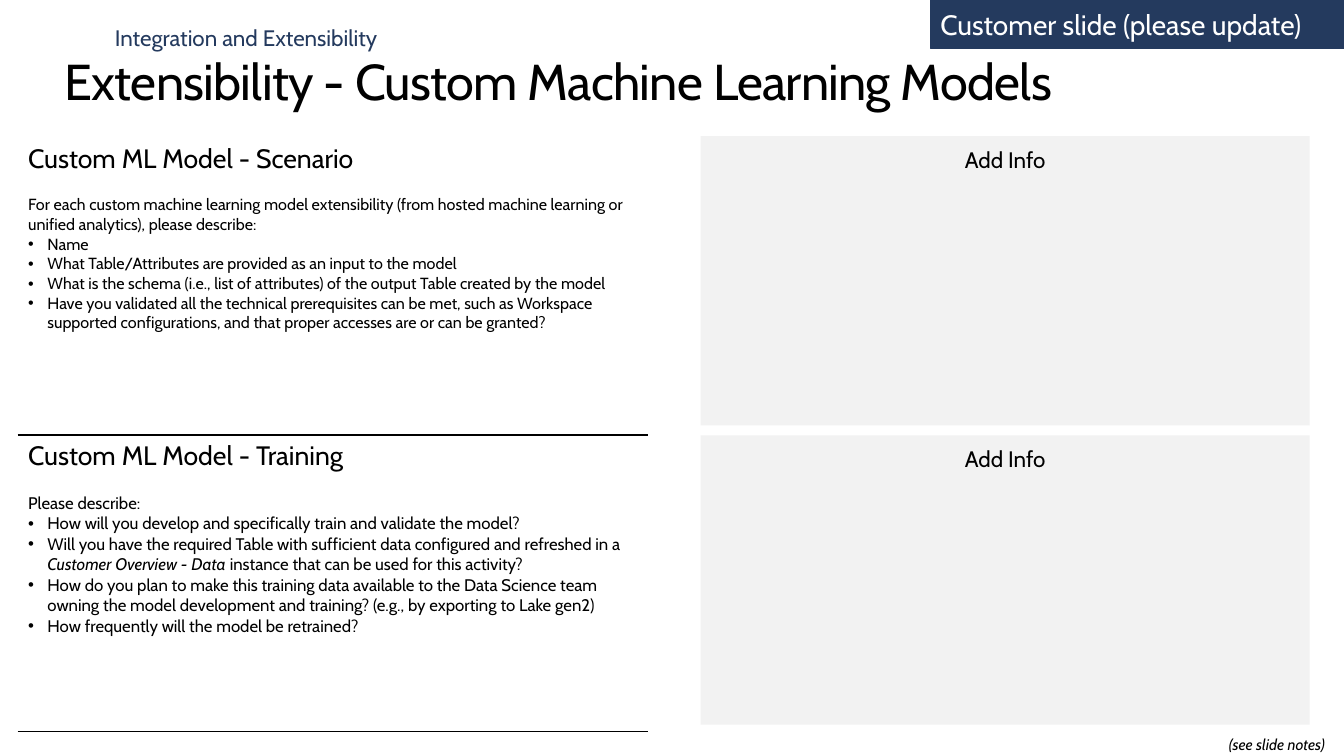
from lxml.etree import SubElement
from pptx import Presentation
from pptx.dml.color import RGBColor
from pptx.enum.shapes import MSO_SHAPE as Shape
from pptx.enum.text import MSO_ANCHOR as Anchor, PP_ALIGN as Align
from pptx.oxml.ns import qn
from pptx.util import Inches, Pt

NAVY, GRAY, BLACK, WHITE = "243A5E", "F2F2F2", "000000", "FFFFFF"


def rgb(value):
    return RGBColor.from_string(value)


def write(paragraph, text, size=16, color=BLACK, italic=False, align=Align.LEFT):
    paragraph.alignment = align
    run = paragraph.add_run()
    run.text = text
    run.font.name = "Cabin"
    run.font.size = Pt(size)
    run.font.italic = italic
    run.font.color.rgb = rgb(color)
    return run


presentation = Presentation()
presentation.slide_width = Inches(13.33)
presentation.slide_height = Inches(7.5)
slide = presentation.slides.add_slide(presentation.slide_layouts[6])

labels = [
    ("Extensibility - Custom Machine Learning Models", (0.64, 0.5, 12.05, 0.61), True, {"size": 36}),
    ("Integration and Extensibility", (1.14, 0.24, 2.75, 0.27), False, {"color": NAVY}),
    ("(see slide notes)", (12.02, 7.29, 1.29, 0.19), True,
     {"size": 11, "italic": True, "align": Align.CENTER}),
]
for text, place, wrap, style in labels:
    frame = slide.shapes.add_textbox(*map(Inches, place)).text_frame
    frame.margin_left = frame.margin_right = frame.margin_top = frame.margin_bottom = 0
    frame.word_wrap = wrap
    run = write(frame.paragraphs[0], text, **style)
    if style.get("size") == 36:
        run.font._element.set("spc", "-50")

banner_style = {"size": 20, "color": WHITE}
info_style = {"align": Align.CENTER}
panels = [
    ("Customer slide (please update)", (9.23, 0, 4.1, 0.48), NAVY, Anchor.MIDDLE, 0.05, banner_style),
    ("Add Info", (6.95, 1.35, 6.04, 2.87), GRAY, Anchor.TOP, 0.1, info_style),
    ("Add Info", (6.95, 4.32, 6.04, 2.87), GRAY, Anchor.TOP, 0.1, info_style),
]
for text, place, color, anchor, top_margin, style in panels:
    panel = slide.shapes.add_shape(Shape.RECTANGLE, *map(Inches, place))
    panel.shadow.inherit = False
    panel.fill.solid()
    panel.fill.fore_color.rgb = rgb(color)
    if color == NAVY:
        panel.line.color.rgb = rgb(NAVY)
        panel.line.width = Pt(0.25)
    else:
        panel.line.fill.background()
    frame = panel.text_frame
    frame.word_wrap = True
    frame.vertical_anchor = anchor
    frame.margin_top = Inches(top_margin)
    write(frame.paragraphs[0], text, **style)

sections = [
    ("Custom ML Model - Scenario", 11.5,
     "For each custom machine learning model extensibility (from hosted machine learning or "
     "unified analytics), please describe:",
     [["Name"],
      ["What Table/Attributes are provided as an input to the model"],
      ["What is the schema (i.e., list of attributes) of the output Table created by the model"],
      ["Have you validated all the technical prerequisites can be met, such as Workspace "
       "supported configurations, and that proper accesses are or can be granted?"]],
     ["a:lnB"]),
    ("Custom ML Model - Training", 12,
     "Please describe:",
     [["How will you develop and specifically train and validate the model?"],
      ["Will you have the required Table with sufficient data configured and refreshed in a ",
       "Customer Overview - Data",
       " instance that can be used for this activity?"],
      ["How do you plan to make this training data available to the Data Science team "
       "owning the model development and training? (e.g., by exporting to Lake gen2)"],
      ["How frequently will the model be retrained?"]],
     ["a:lnT", "a:lnB"]),
]
table = slide.shapes.add_table(
    len(sections), 1, Inches(0.18), Inches(1.37), Inches(6.24), Inches(5.89)).table
table.first_row = False
table.horz_banding = False
for row, (heading, size, intro, questions, borders) in enumerate(sections):
    cell = table.cell(row, 0)
    properties = cell._tc.get_or_add_tcPr()
    for border in borders:
        line = SubElement(properties, qn(border), w=str(Pt(1)))
        SubElement(SubElement(line, qn("a:solidFill")), qn("a:srgbClr"), val=BLACK)
    cell.fill.background()
    frame = cell.text_frame
    write(frame.paragraphs[0], heading, size=19)
    paragraph = frame.add_paragraph()
    paragraph.space_before = Pt(size * 1.22)
    write(paragraph, intro, size=size)
    for parts in questions:
        paragraph = frame.add_paragraph()
        indent = paragraph._p.get_or_add_pPr()
        indent.set("marL", str(Inches(0.19)))
        indent.set("indent", str(-Inches(0.19)))
        SubElement(indent, qn("a:buFont"), typeface="Arial")
        SubElement(indent, qn("a:buChar"), char="•")
        for position, part in enumerate(parts):
            write(paragraph, part, size=size, italic=position == 1)

presentation.save("out.pptx")
